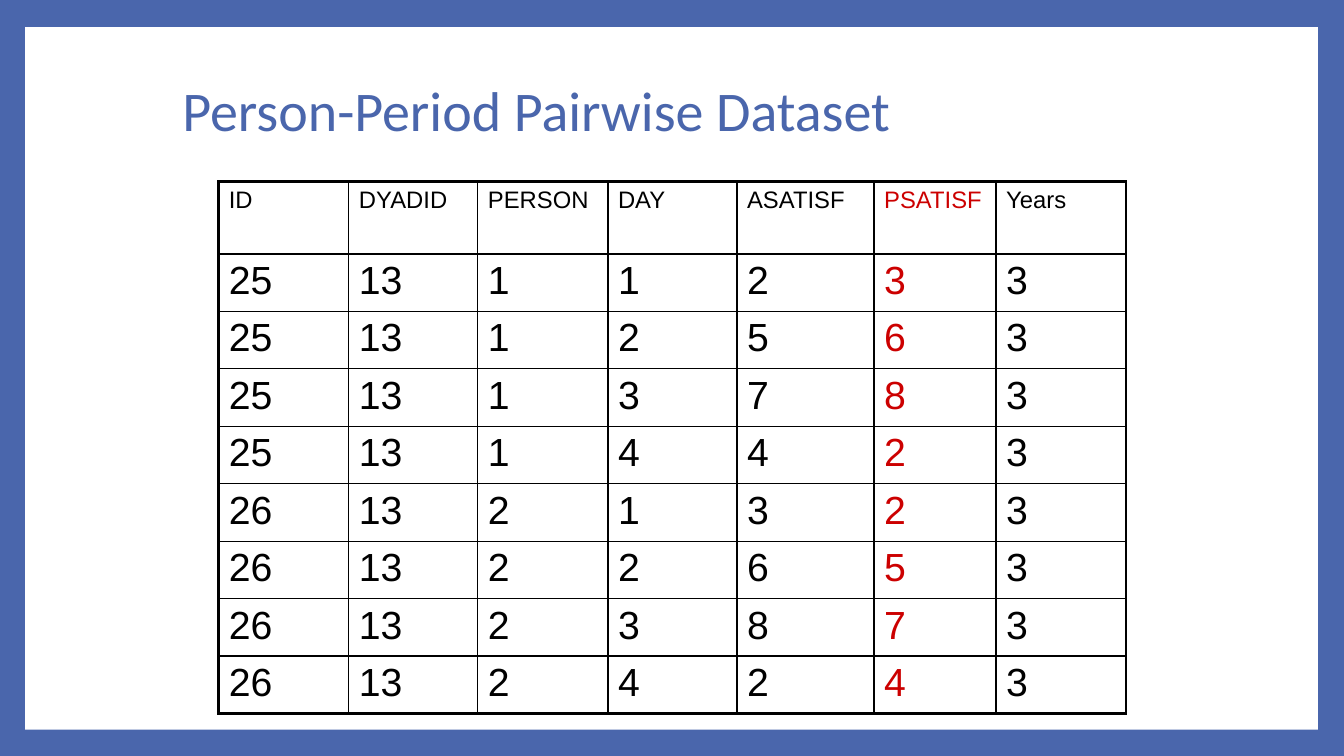
import dataclasses
import typing

import lxml.etree
import pptx
import pptx.dml.color
import pptx.enum.shapes
import pptx.enum.text
import pptx.oxml.ns
import pptx.util

Inches = pptx.util.Inches
Pt = pptx.util.Pt
qn = pptx.oxml.ns.qn


@dataclasses.dataclass(frozen=True)
class Theme:
    blue: str = "4A66AC"
    white: str = "FFFFFF"
    black: str = "000000"
    red: str = "CC0000"
    title: float = 40
    head: float = 17
    body: float = 28
    thin: float = 1
    thick: float = 2.25
    title_font: str = "Calibri"
    grid_font: str = "Arial"


@dataclasses.dataclass(frozen=True)
class Column:
    name: str
    width: float
    shade: str


THEME = Theme()
COLUMNS = [
    Column("ID", 1.29, THEME.black),
    Column("DYADID", 1.28, THEME.black),
    Column("PERSON", 1.29, THEME.black),
    Column("DAY", 1.28, THEME.black),
    Column("ASATISF", 1.36, THEME.black),
    Column("PSATISF", 1.21, THEME.red),
    Column("Years", 1.29, THEME.black),
]
SCORES = {1: [2, 5, 7, 4], 2: [3, 6, 8, 2]}
FIRST_ID, DYAD, YEARS = 25, 13, 3
HEAD_HIGH, ROW_HIGH = 0.72, 0.57


def rgb(code: str) -> pptx.dml.color.RGBColor:
    return pptx.dml.color.RGBColor.from_string(code)


def style(item: typing.Any, form: dict[str, typing.Any]) -> None:
    for key, value in form.items():
        setattr(item, key, value)


def write(frame: typing.Any, text: str, size: float, face: str, shade: str) -> None:
    run = frame.paragraphs[0].add_run()
    run.text = text
    style(run.font, {"size": Pt(size), "name": face})
    run.font.color.rgb = rgb(shade)


def pair_rows() -> list[list[int]]:
    return [
        [FIRST_ID + person - 1, DYAD, person, day, own, other, YEARS]
        for person in SCORES
        for day, (own, other) in enumerate(zip(SCORES[person], SCORES[3 - person]), 1)
    ]


def edge(cell: typing.Any, sides: dict[str, float]) -> None:
    props = cell._tc.get_or_add_tcPr()
    for side, width in sides.items():
        line = lxml.etree.SubElement(props, qn(f"a:ln{side}"), w=str(Pt(width)))
        fill = lxml.etree.SubElement(line, qn("a:solidFill"))
        lxml.etree.SubElement(fill, qn("a:srgbClr"), val=THEME.black)


def draw_panel(slide: typing.Any) -> None:
    panel = slide.shapes.add_shape(
        pptx.enum.shapes.MSO_SHAPE.RECTANGLE,
        Inches(0.25), Inches(0.27), Inches(12.82), Inches(6.97),
    )
    panel.shadow.inherit = False
    panel.fill.solid()
    panel.fill.fore_color.rgb = rgb(THEME.white)
    panel.line.fill.background()


def draw_title(slide: typing.Any) -> None:
    box = slide.shapes.add_textbox(Inches(1.71), Inches(0.5), Inches(11.33), Inches(1.25))
    frame = box.text_frame
    style(frame, {"word_wrap": True, "vertical_anchor": pptx.enum.text.MSO_ANCHOR.MIDDLE})
    frame.paragraphs[0].line_spacing = 0.9
    write(frame, "Person-Period Pairwise Dataset", THEME.title, THEME.title_font, THEME.blue)


def draw_grid(slide: typing.Any) -> None:
    rows = [[column.name for column in COLUMNS], *pair_rows()]
    highs = [HEAD_HIGH] + [ROW_HIGH] * (len(rows) - 1)
    grid = slide.shapes.add_table(
        len(rows), len(COLUMNS), Inches(2.17), Inches(1.8),
        Inches(sum(column.width for column in COLUMNS)), Inches(sum(highs)),
    ).table
    style(grid, {"first_row": False, "horz_banding": False})
    for place, column in enumerate(COLUMNS):
        grid.columns[place].width = Inches(column.width)
    for down, (row, high) in enumerate(zip(rows, highs)):
        grid.rows[down].height = Inches(high)
        size = THEME.body if down else THEME.head
        for across, (value, column) in enumerate(zip(row, COLUMNS)):
            cell = grid.cell(down, across)
            write(cell.text_frame, str(value), size, THEME.grid_font, column.shade)
            outer = {
                "L": across == 0,
                "R": across == len(COLUMNS) - 1,
                "T": down == 0,
                "B": down == len(rows) - 1,
            }
            edge(cell, {side: THEME.thick if out else THEME.thin for side, out in outer.items()})
            cell.fill.background()


def main() -> None:
    deck = pptx.Presentation()
    style(deck, {"slide_width": Inches(13.33), "slide_height": Inches(7.5)})
    slide = deck.slides.add_slide(deck.slide_layouts[6])
    slide.background.fill.solid()
    slide.background.fill.fore_color.rgb = rgb(THEME.blue)
    draw_panel(slide)
    draw_title(slide)
    draw_grid(slide)
    deck.save("out.pptx")


if __name__ == "__main__":
    main()
